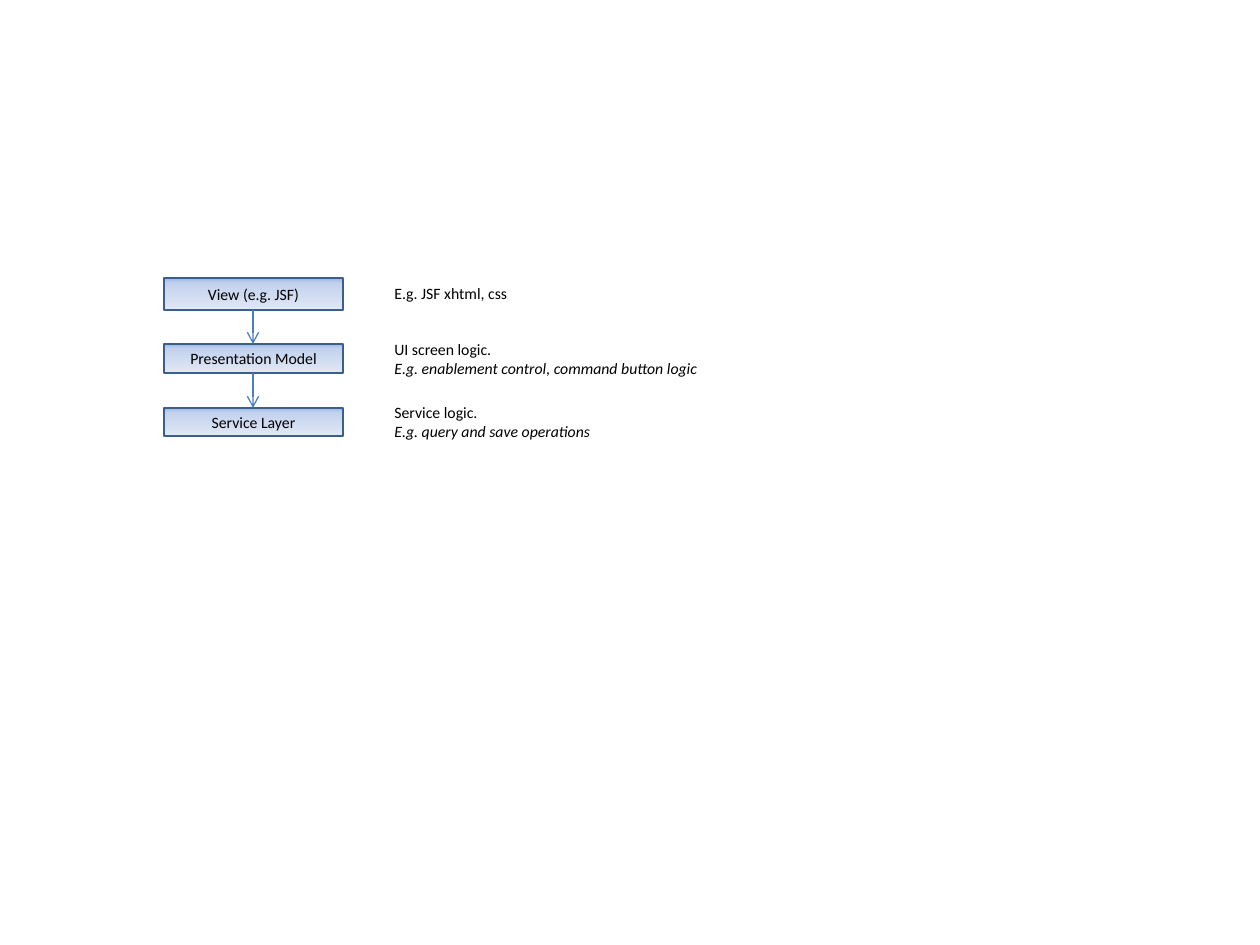
from copy import deepcopy

from lxml import etree
from pptx import Presentation
from pptx import util as u
from pptx.dml.color import RGBColor
from pptx.enum import shapes, text
from pptx.oxml import ns

PX = 914400 // 126
BLACK = RGBColor(0x00, 0x00, 0x00)
BORDER = RGBColor(0x3A, 0x5F, 0x8C)
ARROW = RGBColor(0x4B, 0x7E, 0xBC)
GRADIENT = [
    (0, RGBColor(0x9A, 0xB5, 0xE4)),
    (0.16, RGBColor(0xC2, 0xD1, 0xED)),
    (1, RGBColor(0xE1, 0xE8, 0xF5)),
]
BOX_LEFT, BOX_WIDTH = 164, 179
NOTE_LEFT = 382

LAYERS = [
    ("View (e.g. JSF)", 278, 32),
    ("Presentation Model", 344, 29),
    ("Service Layer", 408, 28),
]
NOTES = [
    (["E.g. JSF xhtml, css"], 278, 181, 32, True),
    (["UI screen logic.", "E.g. enablement control, command button logic"], 334, 496, 50, True),
    (["Service logic.", "E.g. query and save operations"], 397, 223, 50, False),
]


def px(*lengths):
    return [u.Emu(length * PX) for length in lengths]


def format_span(span, italic=False):
    span.font.name = "Calibri"
    span.font.size = u.Pt(9)
    span.font.color.rgb = BLACK
    if italic:
        span.font.italic = True


def fill_gradient(shape):
    shape.fill.gradient()
    shape.fill.gradient_angle = 270
    stop_list = shape._element.spPr.find(".//" + ns.qn("a:gsLst"))
    stop_list.insert(1, deepcopy(stop_list[0]))
    for stop, (position, color) in zip(shape.fill.gradient_stops, GRADIENT):
        stop.position = position
        stop.color.rgb = color


def add_layer(page, label, top, height):
    box = page.shapes.add_shape(
        shapes.MSO_SHAPE.RECTANGLE, *px(BOX_LEFT, top, BOX_WIDTH, height))
    box.shadow.inherit = False
    fill_gradient(box)
    box.line.color.rgb = BORDER
    box.line.width = u.Pt(1)
    frame = box.text_frame
    frame.text = label
    frame.vertical_anchor = text.MSO_ANCHOR.MIDDLE
    para = frame.paragraphs[0]
    para.alignment = text.PP_ALIGN.CENTER
    format_span(para.runs[0])


def add_note(page, lines, top, width, height, wrap):
    box = page.shapes.add_textbox(*px(NOTE_LEFT, top, width, height))
    frame = box.text_frame
    frame.word_wrap = wrap
    frame.auto_size = text.MSO_AUTO_SIZE.SHAPE_TO_FIT_TEXT
    frame.text = "\n".join(lines)
    for index, para in enumerate(frame.paragraphs):
        format_span(para.runs[0], italic=index > 0)


def add_arrow(page, start, end):
    center = BOX_LEFT + BOX_WIDTH // 2
    arrow = page.shapes.add_connector(
        shapes.MSO_CONNECTOR.STRAIGHT, *px(center, start, center, end))
    arrow.line.color.rgb = ARROW
    arrow.line.width = u.Pt(0.75)
    properties = arrow._element.spPr
    line = properties.find(ns.qn("a:ln"))
    etree.SubElement(line, ns.qn("a:tailEnd"), type="arrow")
    etree.SubElement(properties, ns.qn("a:effectLst"))


def main():
    deck = Presentation()
    deck.slide_width, deck.slide_height = u.Inches(10), u.Inches(7.5)
    page = deck.slides.add_slide(deck.slide_layouts[6])
    for layer in LAYERS:
        add_layer(page, *layer)
    for note in NOTES:
        add_note(page, *note)
    for (_, top, height), (_, next_top, _) in zip(LAYERS, LAYERS[1:]):
        add_arrow(page, top + height, next_top)
    deck.save("out.pptx")


if __name__ == "__main__":
    main()
